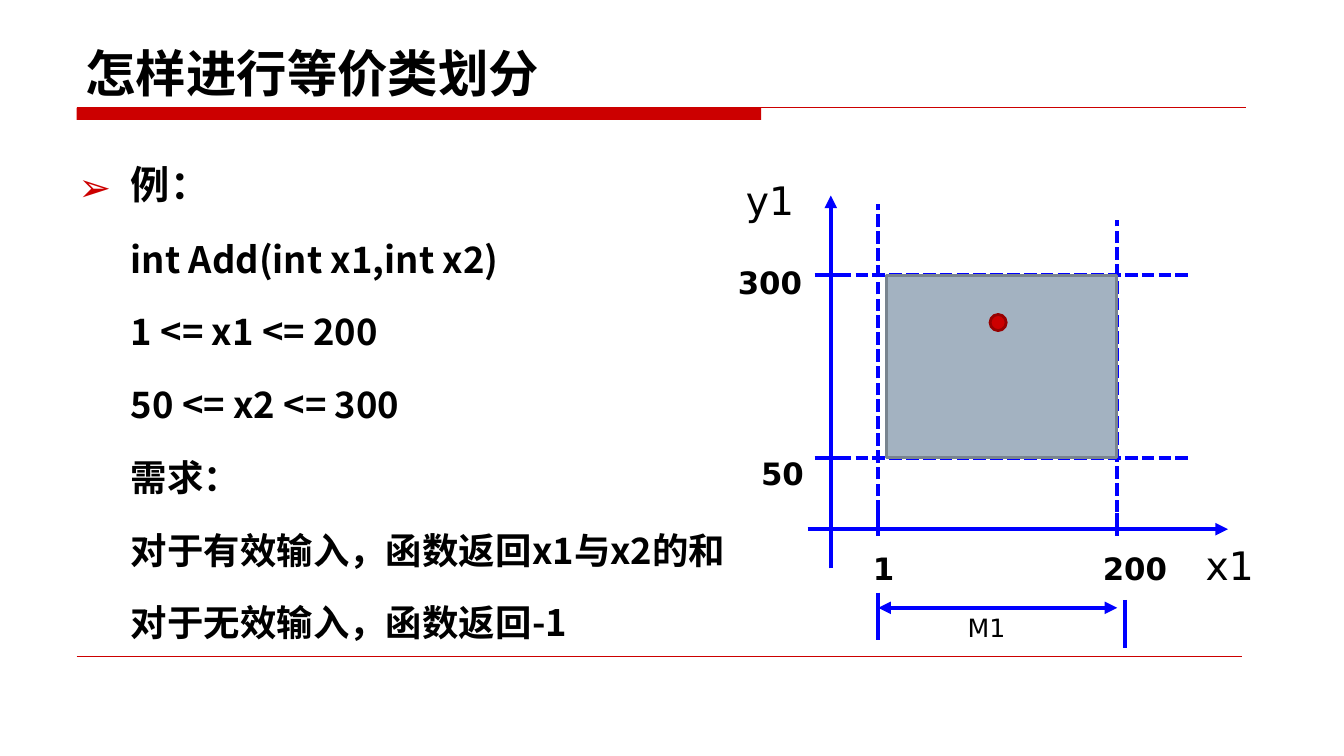
from dataclasses import dataclass

from pptx import Presentation
from pptx.dml.color import RGBColor
from pptx.enum.dml import MSO_LINE
from pptx.enum.shapes import MSO_CONNECTOR, MSO_SHAPE
from pptx.enum.text import MSO_ANCHOR
from pptx.oxml.ns import qn
from pptx.oxml.xmlchemy import OxmlElement
from pptx.util import Inches, Pt

STRAIGHT = MSO_CONNECTOR.STRAIGHT
RECTANGLE, OVAL = MSO_SHAPE.RECTANGLE, MSO_SHAPE.OVAL
TOP, BOTTOM = MSO_ANCHOR.TOP, MSO_ANCHOR.BOTTOM
DASH = MSO_LINE.SQUARE_DOT


@dataclass(frozen=True)
class Theme:
    """Colours, fonts and type sizes of the slide."""
    black: str = "000000"
    red: str = "CC0000"
    dark_red: str = "970000"
    blue: str = "0000FF"
    area: str = "A3B2C1"
    area_edge: str = "79848F"
    text_font: str = "Noto Sans CJK SC"
    label_font: str = "DejaVu Sans"
    title: int = 36
    lead: int = 28
    body: int = 26
    axis: int = 28
    value: int = 22
    span: int = 18


THEME = Theme()
BODY_LINES = (
    "int Add(int x1,int x2)",
    "1 <= x1 <= 200",
    "50 <= x2 <= 300",
    "需求：",
    "对于有效输入，函数返回x1与x2的和",
    "对于无效输入，函数返回-1",
)
X_LOW, X_HIGH = 8.71, 11.08
Y_HIGH, Y_LOW = 2.73, 4.54
AXIS_X, AXIS_Y = 8.24, 5.25


def add_child(parent, tag, **attributes):
    """Append an XML element with the given attributes."""
    child = OxmlElement(tag)
    for name, value in attributes.items():
        child.set(name, value)
    parent.append(child)
    return child


def style_paragraph(paragraph, size, font, bold):
    """Set one font for Latin and East Asian text of a paragraph."""
    paragraph.font.size = Pt(size)
    paragraph.font.bold = bold
    paragraph.font.name = font
    paragraph.font.color.rgb = RGBColor.from_string(THEME.black)
    add_child(paragraph._p.pPr.find(qn("a:defRPr")), "a:ea", typeface=font)


def add_box(page, left, top, width, height, anchor=TOP):
    """Add a wrapping text box and return its text frame."""
    box = page.shapes.add_textbox(Inches(left), Inches(top), Inches(width), Inches(height))
    box.text_frame.word_wrap = True
    box.text_frame.vertical_anchor = anchor
    return box.text_frame


def add_label(page, text, left, top, width, height, size, bold=False):
    """Add a one-line label of the graph."""
    paragraph = add_box(page, left, top, width, height).paragraphs[0]
    paragraph.text = text
    style_paragraph(paragraph, size, THEME.label_font, bold)


def add_line(page, start, end, color=THEME.blue, width=3, dash=None, head=False, tail=False):
    """Add a straight line with optional dash and arrowheads."""
    points = [Inches(value) for value in (*start, *end)]
    line = page.shapes.add_connector(STRAIGHT, *points)
    line.line.color.rgb = RGBColor.from_string(color)
    line.line.width = Pt(width)
    if dash is not None:
        line.line.dash_style = dash
    outline = line.line._get_or_add_ln()
    for shown, tag in ((head, "a:headEnd"), (tail, "a:tailEnd")):
        if shown:
            add_child(outline, tag, type="triangle")
    add_child(line._element.spPr, "a:effectLst")


def add_filled(page, kind, left, top, width, height, fill, edge=None):
    """Add a filled shape, outlined when an edge colour is given."""
    shape = page.shapes.add_shape(kind, Inches(left), Inches(top), Inches(width), Inches(height))
    shape.shadow.inherit = False
    shape.fill.solid()
    shape.fill.fore_color.rgb = RGBColor.from_string(fill)
    if edge is None:
        shape.line.fill.background()
    else:
        shape.line.color.rgb = RGBColor.from_string(edge)
        shape.line.width = Pt(2)


def add_title(page):
    """Add the title with its rule, and the rule at the foot."""
    add_filled(page, RECTANGLE, 0.76, 1.07, 6.79, 0.12, THEME.red)
    add_line(page, (0.76, 1.07), (12.36, 1.07), THEME.red, 0.75)
    add_line(page, (0.76, 6.51), (12.32, 6.51), THEME.red, 0.25)
    paragraph = add_box(page, 0.75, 0.28, 11.67, 0.79, BOTTOM).paragraphs[0]
    paragraph.text = "怎样进行等价类划分"
    style_paragraph(paragraph, THEME.title, THEME.text_font, True)


def add_body(page):
    """Add the bulleted example and its indented lines."""
    frame = add_box(page, 0.68, 1.31, 8.82, 5.1)
    for index, text in enumerate(("例：", *BODY_LINES)):
        paragraph = frame.paragraphs[0] if index == 0 else frame.add_paragraph()
        paragraph.text = text
        paragraph.line_spacing = 1.5
        properties = paragraph._p.get_or_add_pPr()
        properties.set("marL", str(Inches(0.52)))
        if index == 0:
            properties.set("indent", str(Inches(-0.52)))
            color = add_child(properties, "a:buClr")
            add_child(color, "a:srgbClr", val=THEME.red)
            add_child(properties, "a:buFont", typeface=THEME.text_font)
            add_child(properties, "a:buChar", char="➢")
        else:
            paragraph.space_before = Pt(5.2)
        size = THEME.body if index else THEME.lead
        style_paragraph(paragraph, size, THEME.text_font, True)


def add_graph(page):
    """Add the axes, the limits and the valid input area."""
    add_line(page, (8.01, AXIS_Y), (12.18, AXIS_Y), tail=True)
    add_line(page, (AXIS_X, 5.64), (AXIS_X, 1.94), tail=True)
    for x, dash_start, dash_end in ((X_LOW, 5.09, 2.02), (X_HIGH, AXIS_Y, 2.18)):
        add_line(page, (x, 5.09), (x, 5.32))
        add_line(page, (x, dash_start), (x, dash_end), dash=DASH)
    for y in (Y_LOW, Y_HIGH):
        add_line(page, (8.08, y), (8.32, y))
        add_line(page, (8.32, y), (11.79, y), dash=DASH)

    add_line(page, (X_LOW, 5.88), (X_LOW, 6.35))
    add_line(page, (11.16, 5.95), (11.16, 6.43))
    add_line(page, (X_LOW, 6.03), (X_HIGH, 6.03), head=True, tail=True)

    for text, left, top, width in (
        ("1", 8.56, 5.4, 0.63),
        ("200", 10.84, 5.4, 0.94),
        ("50", 7.45, 4.46, 0.87),
        ("300", 7.22, 2.57, 0.94),
    ):
        add_label(page, text, left, top, width, 0.47, THEME.value, bold=True)
    add_label(page, "M1", 9.5, 6.03, 0.63, 0.4, THEME.span)
    add_label(page, "x1", 11.86, 5.32, 0.94, 0.57, THEME.axis)
    add_label(page, "y1", 7.3, 1.7, 0.94, 0.57, THEME.axis)

    add_filled(page, RECTANGLE, 8.79, Y_HIGH, 2.28, Y_LOW - Y_HIGH, THEME.area, THEME.area_edge)
    add_filled(page, OVAL, 9.82, 3.12, 0.16, 0.16, THEME.red, THEME.dark_red)


def main():
    """Build the slide and save the deck."""
    deck = Presentation()
    deck.slide_width, deck.slide_height = Inches(13.33), Inches(7.5)
    page = deck.slides.add_slide(deck.slide_layouts[6])
    add_title(page)
    add_body(page)
    add_graph(page)
    deck.save("out.pptx")


if __name__ == "__main__":
    main()
